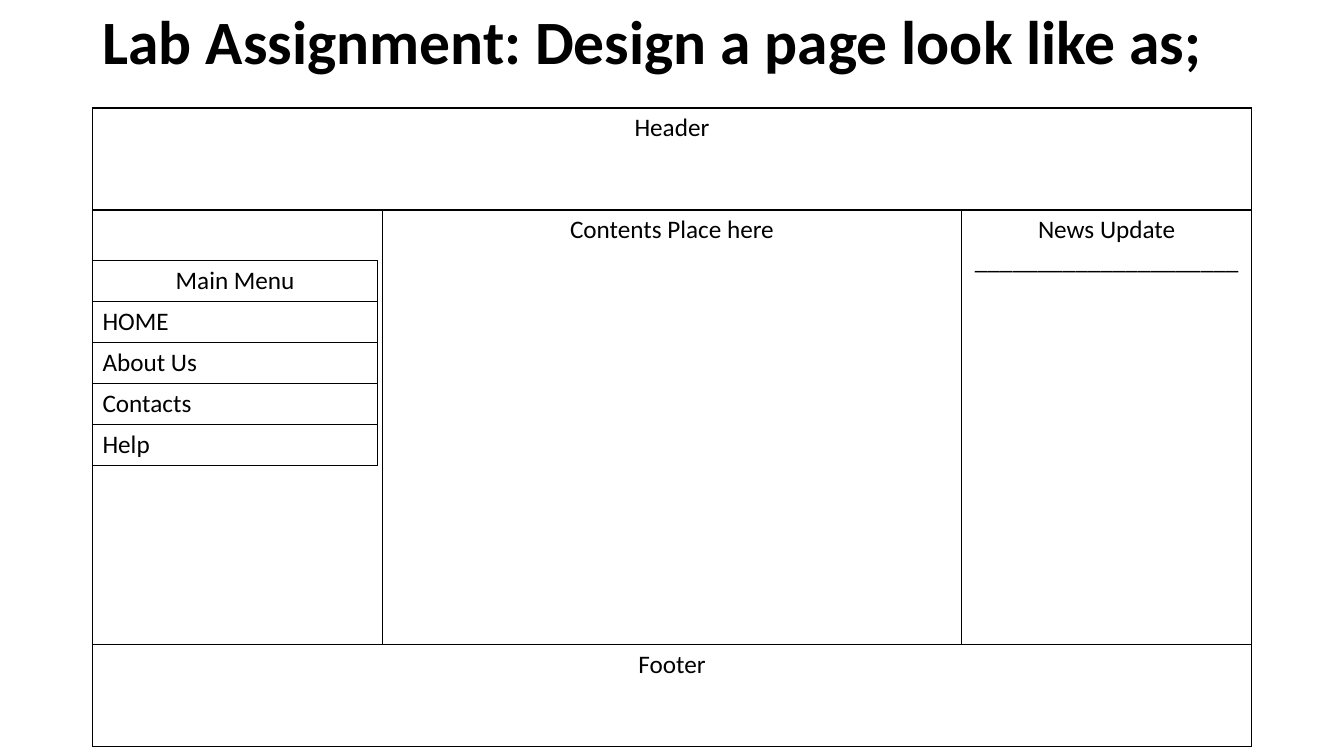
from dataclasses import dataclass

from lxml import etree
from pptx import Presentation
from pptx import util as u
from pptx.dml import color
from pptx.enum import text
from pptx.oxml import ns


@dataclass(frozen=True)
class Theme:
    font: str = "Calibri"
    ink: str = "000000"
    head: int = 44
    body: int = 18
    rule: int = 1


LOOK = Theme()
LEFT = text.PP_ALIGN.LEFT
MID = text.PP_ALIGN.CENTER


def style(para, size, align, bold=False):
    para.alignment = align
    font = para.font
    font.name = LOOK.font
    font.size = u.Pt(size)
    font.bold = bold
    font.color.rgb = color.RGBColor.from_string(LOOK.ink)


def border(cell):
    props = cell._tc.get_or_add_tcPr()
    for side in ("lnL", "lnR", "lnT", "lnB"):
        line = etree.SubElement(props, ns.qn(f"a:{side}"), w=str(u.Pt(LOOK.rule)))
        fill = etree.SubElement(line, ns.qn("a:solidFill"))
        etree.SubElement(fill, ns.qn("a:srgbClr"), val=LOOK.ink)
    cell.fill.background()


def write(cell, words, align):
    cell.text = words
    for para in cell.text_frame.paragraphs:
        style(para, LOOK.body, align)


def grid(slide, left, top, cols, rows):
    frame = slide.shapes.add_table(
        len(rows), len(cols), u.Cm(left), u.Cm(top), u.Cm(sum(cols)), u.Cm(sum(rows))
    )
    table = frame.table
    table.first_row = table.horz_banding = False
    for col, width in zip(table.columns, cols):
        col.width = u.Cm(width)
    for row, height in zip(table.rows, rows):
        row.height = u.Cm(height)
    for cell in table.iter_cells():
        border(cell)
    return table


def title(slide, left, top, width, height):
    shape = slide.shapes.title
    shape.left, shape.top = u.Cm(left), u.Cm(top)
    shape.width, shape.height = u.Cm(width), u.Cm(height)
    frame = shape.text_frame
    frame.text = "Lab Assignment: Design a page look like as;"
    frame.word_wrap = True
    frame.auto_size = text.MSO_AUTO_SIZE.NONE
    frame.vertical_anchor = text.MSO_ANCHOR.MIDDLE
    para = frame.paragraphs[0]
    para.line_spacing = 0.9
    style(para, LOOK.head, LEFT, bold=True)


def page(slide, left, top, width, height):
    band = 2.57
    cols = (width / 4, width / 2, width / 4)
    table = grid(slide, left, top, cols, (band, height - 2 * band, band))
    for row, words in ((0, "Header"), (2, "Footer")):
        table.cell(row, 0).merge(table.cell(row, 2))
        write(table.cell(row, 0), words, MID)
    write(table.cell(1, 1), "Contents Place here", MID)
    write(table.cell(1, 2), "News Update\n" + "_" * 21, MID)


def menu(slide, left, top, width, height):
    items = ("Main Menu", "HOME", "About Us", "Contacts", "Help")
    table = grid(slide, left, top, (width,), (height / len(items),) * len(items))
    for row, words in enumerate(items):
        write(table.cell(row, 0), words, LEFT if row else MID)


def main():
    deck = Presentation()
    deck.slide_width, deck.slide_height = u.Cm(33.87), u.Cm(19.05)
    slide = deck.slides.add_slide(deck.slide_layouts[5])
    left, width = 2.33, 29.21
    title(slide, left, 0, width, 2.24)
    page(slide, left, 2.72, width, 16.1)
    menu(slide, left, 6.57, 7.19, 5.16)
    deck.save("out.pptx")


if __name__ == "__main__":
    main()
